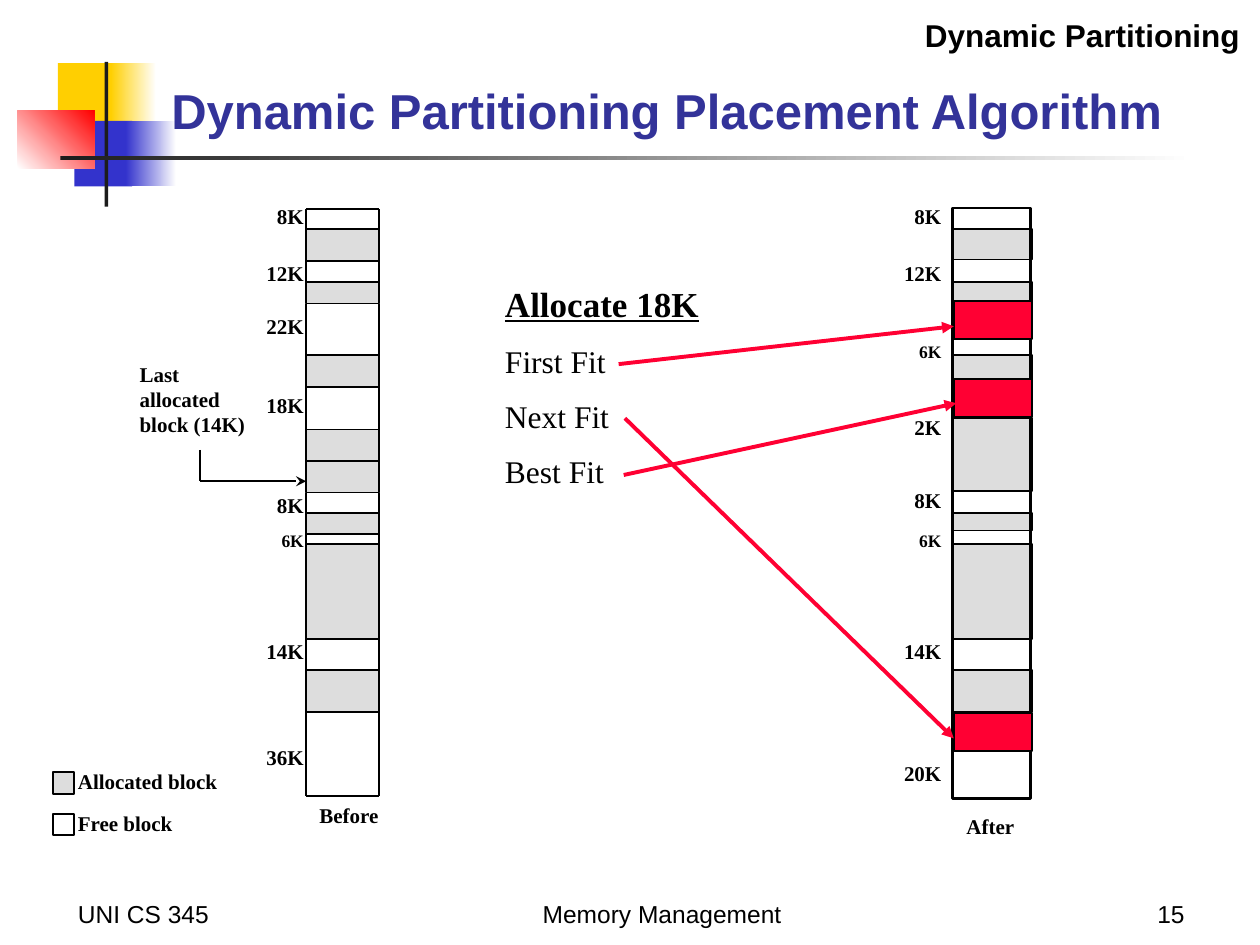
from typing import NamedTuple

from lxml import etree
from pptx import Presentation
from pptx.dml.color import RGBColor
from pptx.enum.shapes import MSO_CONNECTOR, MSO_SHAPE
from pptx.enum.text import MSO_ANCHOR, MSO_AUTO_SIZE, PP_ALIGN
from pptx.oxml.ns import qn
from pptx.util import Inches, Pt

RECT, STRAIGHT = MSO_SHAPE.RECTANGLE, MSO_CONNECTOR.STRAIGHT
LEFT, CENTER, RIGHT = PP_ALIGN.LEFT, PP_ALIGN.CENTER, PP_ALIGN.RIGHT
TOP, BOTTOM = MSO_ANCHOR.TOP, MSO_ANCHOR.BOTTOM

BLACK = RGBColor(0x00, 0x00, 0x00)
WHITE = RGBColor(0xFF, 0xFF, 0xFF)
GRAY = RGBColor(0xDD, 0xDD, 0xDD)
RED = RGBColor(0xFF, 0x00, 0x33)
TITLE_BLUE = RGBColor(0x33, 0x33, 0x99)
YELLOW = RGBColor(0xFF, 0xCF, 0x01)
BLUE = RGBColor(0x33, 0x33, 0xCC)
PURE_RED = RGBColor(0xFF, 0x00, 0x00)
CHARCOAL = RGBColor(0x1C, 0x1C, 0x1C)

ARIAL = dict(name="Arial", size=Pt(14), bold=False)
SERIF = dict(name="Times New Roman", size=Pt(12), bold=True)
HEADING = {**SERIF, "size": Pt(20), "underline": True}
ITEM = {**SERIF, "size": Pt(18), "bold": False}


class Box(NamedTuple):
    x: float
    y: float
    w: float
    h: float


class Block(NamedTuple):
    y: float
    h: float


class Label(NamedTuple):
    text: str
    y: float
    size: int = 12


class Decor(NamedTuple):
    box: Box
    start: RGBColor
    end: RGBColor | None = None
    angle: int = 0


class Fit(NamedTuple):
    start: tuple[float, float]
    end: tuple[float, float]
    block_y: float


DECOR = [
    Decor(Box(0.46, 0.5, 0.48, 0.52), YELLOW),
    Decor(Box(0.88, 0.5, 0.36, 0.52), YELLOW, WHITE),
    Decor(Box(0.59, 0.96, 0.46, 0.52), BLUE),
    Decor(Box(1, 0.96, 0.4, 0.52), BLUE, WHITE),
    Decor(Box(0.14, 0.88, 0.61, 0.46), WHITE, PURE_RED, 45),
    Decor(Box(0.83, 0.49, 0.03, 1.15), CHARCOAL),
    Decor(Box(0.48, 1.24, 9, 0.03), CHARCOAL, WHITE),
]
BEFORE = [Block(1.82, 0.25), Block(2.24, 0.17), Block(2.82, 0.25), Block(3.41, 0.5),
          Block(4.07, 0.17), Block(4.32, 0.75), Block(5.32, 0.33)]
AFTER = [Block(1.82, 0.24), Block(2.24, 0.17), Block(2.82, 0.19), Block(3.32, 0.58),
         Block(4.07, 0.14), Block(4.32, 0.75), Block(5.32, 0.33)]
BEFORE_LABELS = [Label("8K", 1.57), Label("12K", 2.02), Label("22K", 2.44),
                 Label("18K", 3.07), Label("8K", 3.86), Label("6K", 4.16, 10),
                 Label("14K", 5.02), Label("36K", 5.86)]
AFTER_LABELS = [Label("8K", 1.57), Label("12K", 2.02), Label("6K", 2.66, 10),
                Label("2K", 3.24), Label("8K", 3.82), Label("6K", 4.16, 10),
                Label("14K", 5.02), Label("20K", 5.99)]
FITS = [Fit((4.95, 3.77), (7.59, 3.2), 3.01), Fit((4.91, 2.89), (7.57, 2.59), 2.39),
        Fit((4.96, 3.32), (7.57, 5.86), 5.66)]
X1, X2, COL_TOP, COL_BOTTOM = 2.43, 3.01, 1.66, 6.32
AFTER_X = 7.56


def apply(obj, fmt: dict) -> None:
    for key, value in fmt.items():
        setattr(obj, key, value)


def add_rect(s, box: Box, fill: RGBColor | None, line: float = 0):
    sp = s.shapes.add_shape(RECT, *map(Inches, box))
    sp.shadow.inherit = False
    if fill is None:
        sp.fill.background()
    else:
        sp.fill.solid()
        sp.fill.fore_color.rgb = fill
    if line:
        sp.line.color.rgb = BLACK
        sp.line.width = Pt(line)
    else:
        sp.line.fill.background()
    return sp


def add_decor(s, d: Decor) -> None:
    sp = add_rect(s, d.box, d.start)
    if d.end is not None:
        sp.fill.gradient()
        sp.fill.gradient_angle = d.angle
        for stop, color, pos in zip(sp.fill.gradient_stops, (d.start, d.end), (0, 1)):
            stop.color.rgb = color
            stop.position = pos


def add_line(s, start: tuple, end: tuple, color: RGBColor = BLACK,
             width: float = 1, arrow: str = "") -> None:
    ln = s.shapes.add_connector(STRAIGHT, *map(Inches, (*start, *end)))
    ln.line.color.rgb = color
    ln.line.width = Pt(width)
    if arrow:
        etree.SubElement(ln.line._get_or_add_ln(), qn("a:tailEnd"), type=arrow)
    etree.SubElement(ln.element.spPr, qn("a:effectLst"))


def fill_text(tf, lines: list[tuple[str, dict]], align=LEFT, color: RGBColor = BLACK,
              anchor=TOP, wrap: bool = False, gap: float = 0) -> None:
    apply(tf, dict(word_wrap=wrap, auto_size=MSO_AUTO_SIZE.NONE, vertical_anchor=anchor))
    for i, (text, font) in enumerate(lines):
        p = tf.add_paragraph() if i else tf.paragraphs[0]
        p.alignment = align
        p.space_before = Pt(gap if i else 0)
        r = p.add_run()
        r.text = text
        apply(r.font, font)
        r.font.color.rgb = color


def add_text(s, box: Box, lines: list[tuple[str, dict]], **options) -> None:
    fill_text(s.shapes.add_textbox(*map(Inches, box)).text_frame, lines, **options)


def add_labels(s, labels: list[Label], right: float) -> None:
    for text, y, size in labels:
        w = 0.2 + size * len(text) * 0.0087
        box = Box(right - w, y, w, 0.1 + size / 60)
        add_text(s, box, [(text, {**SERIF, "size": Pt(size)})], align=RIGHT)


def main() -> None:
    prs = Presentation()
    prs.slide_width, prs.slide_height = Inches(10), Inches(7.5)
    s = prs.slides.add_slide(prs.slide_layouts[5])

    # Background ornament, title and footer
    for d in DECOR:
        add_decor(s, d)
    title = s.shapes.title
    apply(title, dict(left=Inches(1.26), top=Inches(0.21),
                      width=Inches(8.52), height=Inches(0.95)))
    title.element.getparent().append(title.element)
    fill_text(title.text_frame, [("Dynamic Partitioning Placement Algorithm",
              {**ARIAL, "size": Pt(28), "bold": True})],
              color=TITLE_BLUE, anchor=BOTTOM, wrap=True)
    add_text(s, Box(7.07, 0.08, 2.87, 0.4), [("Dynamic Partitioning",
             {**ARIAL, "size": Pt(18), "bold": True})], align=RIGHT, wrap=True)
    for x, w, text, align in ((0.52, 2.08, "UNI CS 345", LEFT),
                              (3.67, 3.17, "Memory Management", CENTER),
                              (7.42, 2.08, "15", RIGHT)):
        add_text(s, Box(x, 6.92, w, 0.5), [(text, ARIAL)],
                 align=align, anchor=BOTTOM, wrap=True)

    # Memory before: allocated blocks, with side lines around the free gaps
    for y, h in BEFORE:
        add_rect(s, Box(X1, y, X2 - X1, h), GRAY, 1)
    gap_tops = [COL_TOP] + [b.y + b.h for b in BEFORE]
    gap_bottoms = [b.y for b in BEFORE] + [COL_BOTTOM]
    for y1, y2 in zip(gap_tops, gap_bottoms):
        for x in (X1, X2):
            add_line(s, (x, y1), (x, y2))
    for y in (COL_TOP, 3.66, COL_BOTTOM):
        add_line(s, (X1, y), (X2, y))
    add_labels(s, BEFORE_LABELS, 2.51)
    add_text(s, Box(X1, COL_BOTTOM, 0.68, 0.3), [("Before", SERIF)], align=CENTER)

    # Pointer to the last allocated block
    add_text(s, Box(1.01, 2.82, 1.04, 0.7),
             [(t, SERIF) for t in ("Last", "allocated", "block (14K)")])
    add_line(s, (1.59, 3.57), (1.59, 3.82))
    add_line(s, (1.59, 3.82), (X1, 3.82), arrow="stealth")

    # Legend
    for y, fill, text, w in ((6.13, GRAY, "Allocated block", 1.31),
                             (6.46, WHITE, "Free block", 0.96)):
        add_rect(s, Box(0.42, y, 0.17, 0.17), fill, 1)
        add_text(s, Box(0.52, y - 0.08, w, 0.3), [(text, SERIF)])

    # Memory after
    for y, h in AFTER:
        add_rect(s, Box(AFTER_X, y, 0.63, h), GRAY, 1)
    add_labels(s, AFTER_LABELS, 7.57)
    add_text(s, Box(7.57, 6.41, 0.58, 0.3), [("After", SERIF)], align=CENTER)
    add_rect(s, Box(AFTER_X, 1.65, 0.62, 4.69), None, 1.5)

    # Placement strategies and the blocks they choose
    add_text(s, Box(3.91, 2.19, 2.06, 1.79), [("Allocate 18K", HEADING)]
             + [(f"{name} Fit", ITEM) for name in ("First", "Next", "Best")],
             wrap=True, gap=10)
    for fit in FITS:
        add_rect(s, Box(7.57, fit.block_y, 0.62, 0.3), RED, 1)
        add_line(s, fit.start, fit.end, RED, 2.25, "triangle")

    prs.save("out.pptx")


if __name__ == "__main__":
    main()
